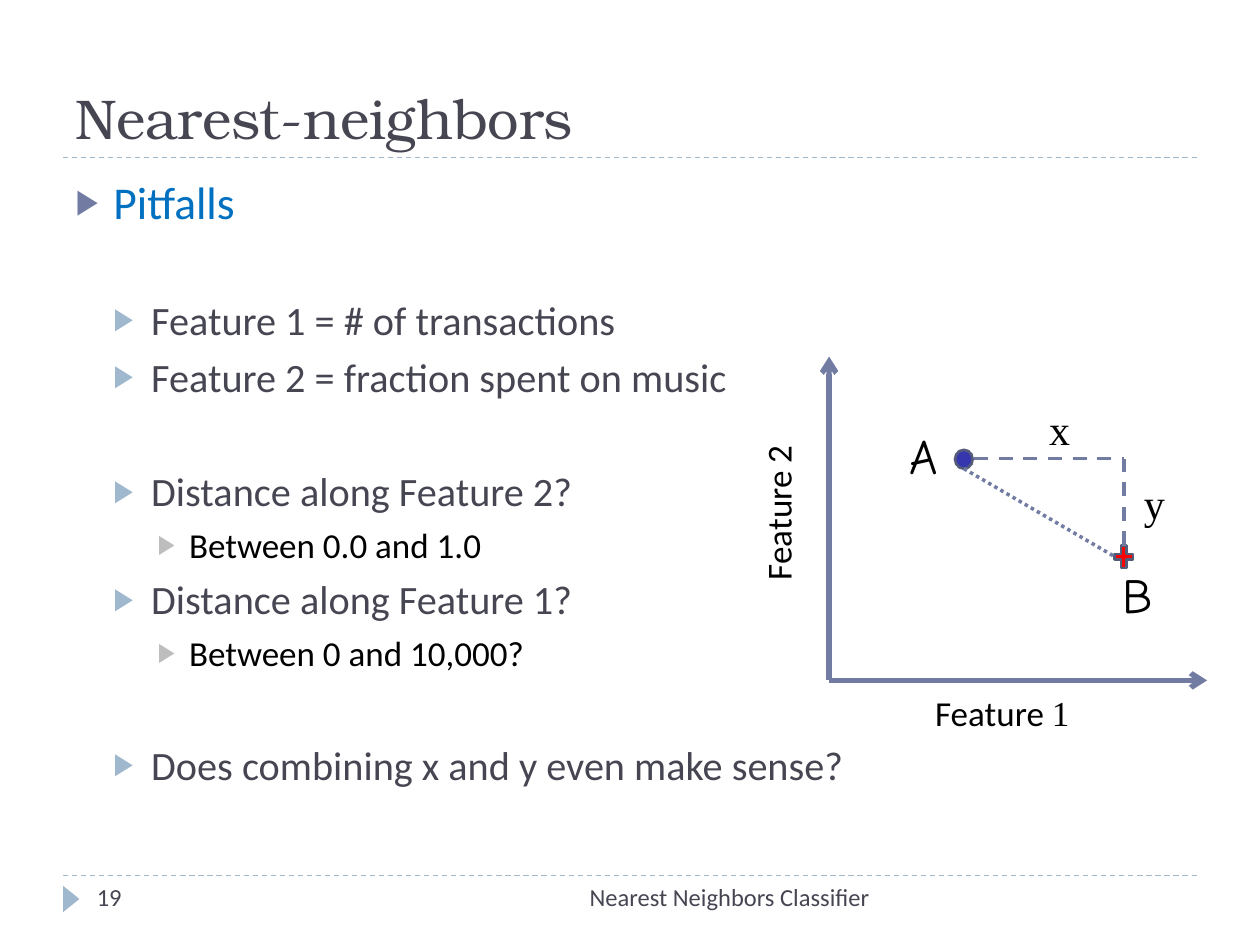
import pptx
import pptx.dml.color
import pptx.enum.dml
import pptx.enum.shapes
import pptx.enum.text
import pptx.oxml
import pptx.oxml.ns
import pptx.util
import lxml.etree

Inches = pptx.util.Inches
Pt = pptx.util.Pt
RGB = pptx.dml.color.RGBColor
ALIGN = pptx.enum.text.PP_ALIGN
ANCHOR = pptx.enum.text.MSO_ANCHOR
DASH = pptx.enum.dml.MSO_LINE
SHAPE = pptx.enum.shapes.MSO_SHAPE
qn = pptx.oxml.ns.qn

SLATE = RGB(0x46, 0x46, 0x53)
INDIGO = RGB(0x72, 0x7C, 0xA3)
OUTLINE = RGB(0x54, 0x5C, 0x79)
PALE_BLUE = RGB(0x9F, 0xB8, 0xCD)
SILVER = RGB(0xBD, 0xBD, 0xBD)
BLUE = RGB(0x00, 0x70, 0xC0)
NAVY = RGB(0x00, 0x00, 0x99)
RED = RGB(0xFF, 0x00, 0x00)
BLACK = RGB(0x00, 0x00, 0x00)

SANS = "Calibri"
SERIF = "Times New Roman"
HAND = "Comic Neue"
DISPLAY = "TeX Gyre Bonum"

# level: left margin, hanging indent, size, text colour, bullet colour
LEVELS = [
    (0.3, 0.3, 26, BLUE, INDIGO),
    (0.6, 0.3, 23, SLATE, PALE_BLUE),
    (0.9, 0.25, 20, BLACK, SILVER),
]
GAP = 5
SECTION_GAP = 38
PITFALLS = [
    (0, 0, "Pitfalls"),
    (1, SECTION_GAP, "Feature 1 = # of transactions"),
    (1, GAP, "Feature 2 = fraction spent on music"),
    (1, SECTION_GAP, "Distance along Feature 2?"),
    (2, GAP, "Between 0.0 and 1.0"),
    (1, GAP, "Distance along Feature 1?"),
    (2, GAP, "Between 0 and 10,000?"),
    (1, SECTION_GAP, "Does combining x and y even make sense?"),
]


def write(paragraph, text, size=20, font=SANS, color=BLACK, align=ALIGN.LEFT):
    paragraph.alignment = align
    run = paragraph.add_run()
    run.text = text
    run.font.size = Pt(size)
    run.font.name = font
    run.font.color.rgb = color


def add_label(slide, box, text, rotation=0, **style):
    label = slide.shapes.add_textbox(*map(Inches, box))
    label.rotation = rotation
    label.text_frame.word_wrap = True
    paragraph = label.text_frame.paragraphs[0]
    write(paragraph, text, **style)
    return paragraph


def add_line(slide, start, end, color=INDIGO, width=2, dash=None, arrow=False):
    line = slide.shapes.add_connector(
        pptx.enum.shapes.MSO_CONNECTOR.STRAIGHT, *map(Inches, start + end))
    line.line.color.rgb = color
    line.line.width = Pt(width)
    if dash:
        line.line.dash_style = dash
    if arrow:
        lxml.etree.SubElement(line.line._get_or_add_ln(), qn("a:tailEnd"), type="arrow")
    lxml.etree.SubElement(line._element.spPr, qn("a:effectLst"))


def add_marker(slide, kind, box, fill, outline=None, opacity=100):
    marker = slide.shapes.add_shape(kind, *map(Inches, box))
    marker.shadow.inherit = False
    marker.fill.solid()
    marker.fill.fore_color.rgb = fill
    if opacity < 100:
        color = marker._element.spPr.find(qn("a:solidFill"))[0]
        lxml.etree.SubElement(color, qn("a:alpha"), val=str(opacity * 1000))
    if outline:
        marker.line.color.rgb = outline
        marker.line.width = Pt(1.5)
    else:
        marker.line.fill.background()
    return marker


def set_bullet(paragraph, margin, hanging, color):
    properties = paragraph._p.get_or_add_pPr()
    properties.set("marL", str(Inches(margin)))
    properties.set("indent", str(-Inches(hanging)))
    bullet_color = lxml.etree.SubElement(properties, qn("a:buClr"))
    lxml.etree.SubElement(bullet_color, qn("a:srgbClr"), val=str(color))
    lxml.etree.SubElement(properties, qn("a:buSzPct"), val="76000")
    lxml.etree.SubElement(properties, qn("a:buChar"), char="▶")


def place(placeholder, box, anchor):
    placeholder.left, placeholder.top, placeholder.width, placeholder.height = map(Inches, box)
    frame = placeholder.text_frame
    frame.word_wrap = True
    frame.auto_size = pptx.enum.text.MSO_AUTO_SIZE.NONE
    frame.vertical_anchor = anchor
    return frame


def fill_title(slide, box):
    left, top, width, height = box
    frame = place(slide.shapes.title, box, ANCHOR.BOTTOM)
    write(frame.paragraphs[0], "Nearest-neighbors", size=32, font=DISPLAY, color=SLATE)
    rule = top + height
    add_line(slide, (left, rule), (left + width, rule), PALE_BLUE, 0.75, DASH.DASH)


def fill_pitfalls(slide, box):
    frame = place(slide.placeholders[1], box, ANCHOR.TOP)
    for index, (level, gap, text) in enumerate(PITFALLS):
        paragraph = frame.add_paragraph() if index else frame.paragraphs[0]
        margin, hanging, size, color, bullet_color = LEVELS[level]
        paragraph.level = level
        set_bullet(paragraph, margin, hanging, bullet_color)
        paragraph.space_before = Pt(gap)
        write(paragraph, text, size=size, color=color)


def add_footer(slide, box):
    left, top, width, height = box
    add_line(slide, (left, top), (left + width, top), PALE_BLUE, 0.75, DASH.DASH)
    pointer = add_marker(slide, SHAPE.ISOSCELES_TRIANGLE,
                         (left - 0.04, top + 0.12, 0.21, 0.13), PALE_BLUE)
    pointer.rotation = 90
    add_label(slide, (left + 2.67, top, 3.83, height), "Nearest Neighbors Classifier",
              size=14, color=SLATE, align=ALIGN.RIGHT)
    add_label(slide, (left + 0.17, top, 2.17, height), "19", size=14, color=SLATE)


def add_distance_plot(slide, box):
    left, top, width, height = box
    bottom = top + height
    origin = (left, bottom)
    add_line(slide, origin, (left + width, bottom), width=3, arrow=True)
    add_line(slide, origin, (left, top), width=3, arrow=True)
    feature_1 = add_label(slide, (left + 0.29, bottom + 0.04, 2.17, 0.44), "Feature ",
                          align=ALIGN.CENTER)
    write(feature_1, "1", font=SERIF, align=ALIGN.CENTER)
    add_label(slide, (left - 1.53, top + 1.02, 2.25, 0.44), "Feature 2",
              rotation=270, align=ALIGN.CENTER)

    a_x, a_y = left + 1.07, top + 0.81
    b_x, b_y = left + 2.34, top + 1.59
    add_marker(slide, SHAPE.MATH_PLUS, (b_x - 0.1, b_y - 0.12, 0.2, 0.24), RED, OUTLINE)
    add_marker(slide, SHAPE.OVAL, (a_x - 0.07, a_y - 0.07, 0.14, 0.15), NAVY, OUTLINE, 79)
    corner = (b_x, a_y)
    add_line(slide, (a_x + 0.08, a_y), corner, dash=DASH.DASH)
    add_line(slide, (b_x, b_y - 0.09), corner, dash=DASH.DASH)
    add_line(slide, (a_x, a_y + 0.08), (b_x - 0.07, b_y), dash=DASH.ROUND_DOT)

    for text, x, y, size in (("x", a_x + 0.51, a_y - 0.49, 0.5),
                             ("y", b_x + 0.06, a_y + 0.1, 0.35)):
        add_label(slide, (x, y, size, 0.5), text, size=24, font=SERIF, align=ALIGN.CENTER)
    for text, x, y in (("A", a_x - 0.53, a_y - 0.31), ("B", b_x - 0.11, b_y + 0.01)):
        add_label(slide, (x, y, 0.42, 0.57), text, size=28, font=HAND)


def main():
    deck = pptx.Presentation()
    deck.slide_width, deck.slide_height = Inches(10), Inches(7.5)
    slide = deck.slides.add_slide(deck.slide_layouts[1])
    fill_title(slide, (0.5, 0.17, 9, 1.08))
    fill_pitfalls(slide, (0.5, 1.33, 9, 5.4))
    add_footer(slide, (0.5, 6.95, 9, 0.4))
    add_distance_plot(slide, (6.58, 2.83, 3, 2.57))
    deck.save("out.pptx")


if __name__ == "__main__":
    main()
